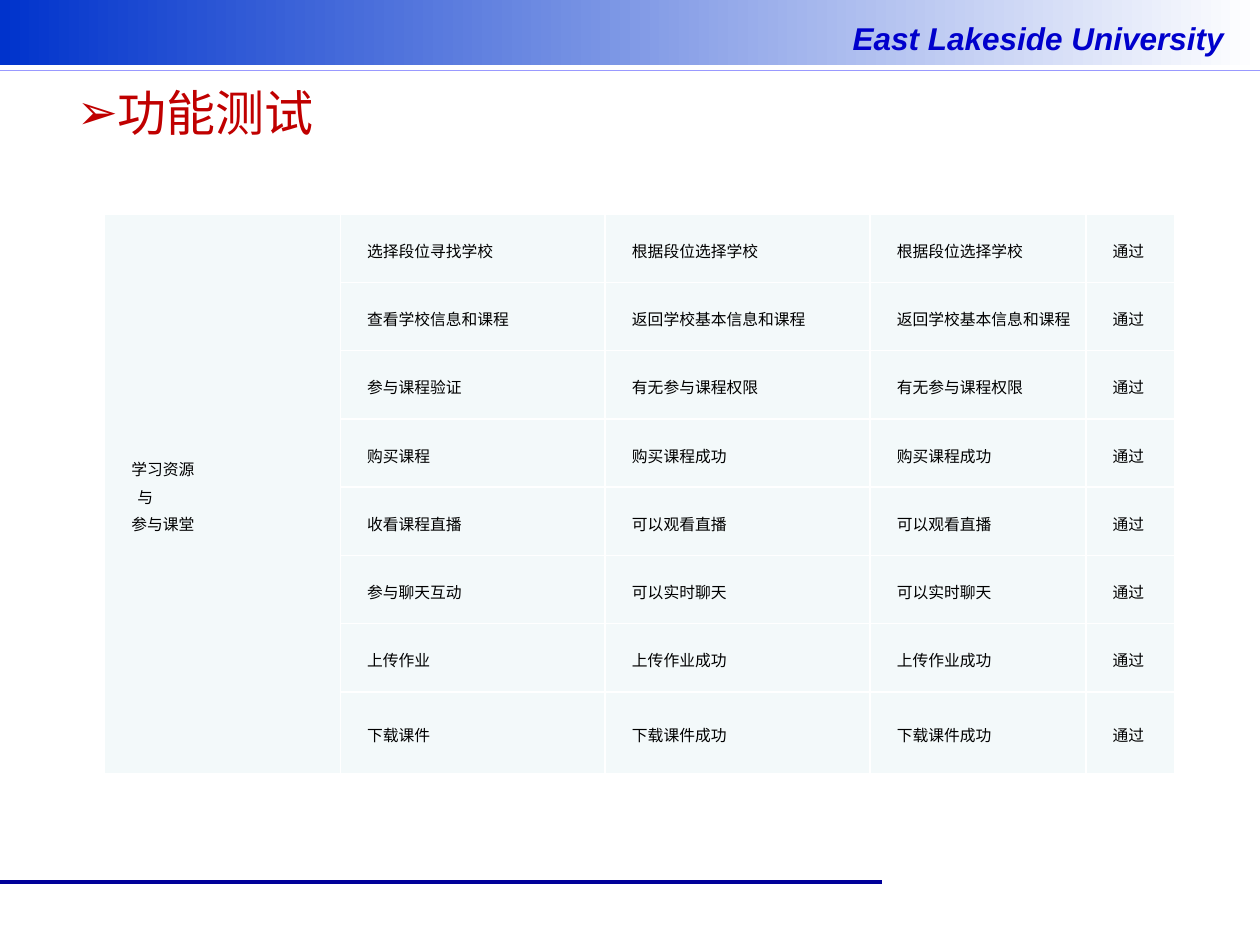
from dataclasses import dataclass

from lxml.etree import SubElement
from pptx import Presentation
from pptx.dml.color import RGBColor
from pptx.enum.shapes import MSO_CONNECTOR, MSO_SHAPE
from pptx.enum.text import MSO_ANCHOR, PP_ALIGN
from pptx.oxml.ns import qn
from pptx.util import Cm, Pt


@dataclass(frozen=True)
class Theme:
    band: str = "0033CC"
    white: str = "FFFFFF"
    school: str = "0000CC"
    header_rule: str = "9999FF"
    footer_rule: str = "000099"
    title: str = "C00000"
    body: str = "000000"
    cell: str = "F3F9FA"
    latin: str = "Arial"
    cjk: str = "Noto Sans CJK SC"
    school_size: float = 18
    title_size: float = 28
    body_size: float = 9


@dataclass(frozen=True)
class Rule:
    y: float
    length: float
    color: str
    width: float


@dataclass(frozen=True)
class TestCase:
    action: str
    expected: str
    actual: str
    verdict: str = "通过"


THEME = Theme()
RULES = [Rule(1.42, 25.4, THEME.header_rule, 1),
         Rule(17.78, 17.78, THEME.footer_rule, 2.25)]

# Each outcome was observed exactly as expected
CASES = [TestCase(action, outcome, outcome) for action, outcome in [
    ("选择段位寻找学校", "根据段位选择学校"),
    ("查看学校信息和课程", "返回学校基本信息和课程"),
    ("参与课程验证", "有无参与课程权限"),
    ("购买课程", "购买课程成功"),
    ("收看课程直播", "可以观看直播"),
    ("参与聊天互动", "可以实时聊天"),
    ("上传作业", "上传作业成功"),
    ("下载课件", "下载课件成功"),
]]
MODULE_LINES = ["学习资源", "与", "参与课堂"]
COLUMN_WIDTHS = [4.75, 5.34, 5.34, 4.35, 1.8]
ROW_HEIGHT, LAST_ROW_HEIGHT = 1.375, 1.65
INDENT, CENTRE_INDENT = 0.36, 0.48


def rgb(color: str) -> RGBColor:
    return RGBColor.from_string(color)


def write(paragraph, text: str, *, size: float, color: str, font: str = THEME.latin,
          bold: bool = False, italic: bool = False, align=PP_ALIGN.JUSTIFY,
          indent: float = 0, spacing: float = 1, bullet: str = "") -> None:
    run = paragraph.add_run()
    run.text = text
    run.font.size, run.font.name = Pt(size), font
    run.font.bold, run.font.italic = bold, italic
    run.font.color.rgb = rgb(color)
    SubElement(run.font._element, qn("a:ea"), typeface=THEME.cjk)
    paragraph.alignment, paragraph.line_spacing = align, spacing
    properties = paragraph._p.get_or_add_pPr()
    properties.set("marL", "0")
    properties.set("indent", str(Cm(indent)))
    if bullet:
        SubElement(properties, qn("a:buFont"), typeface=THEME.latin)
        SubElement(properties, qn("a:buChar"), char=bullet)


def add_text_frame(slide, left: float, top: float, width: float, height: float):
    frame = slide.shapes.add_textbox(Cm(left), Cm(top), Cm(width), Cm(height)).text_frame
    frame.word_wrap = True
    return frame


def draw_rule(slide, rule: Rule) -> None:
    line = slide.shapes.add_connector(MSO_CONNECTOR.STRAIGHT, 0, Cm(rule.y),
                                      Cm(rule.length), Cm(rule.y))
    line.line.color.rgb, line.line.width = rgb(rule.color), Pt(rule.width)
    SubElement(line._element.spPr, qn("a:effectLst"))


def draw_header(slide) -> None:
    band = slide.shapes.add_shape(MSO_SHAPE.RECTANGLE, 0, 0, Cm(25.4), Cm(1.32))
    band.shadow.inherit = False
    band.line.fill.background()
    band.fill.gradient()
    band.fill.gradient_angle = 0
    for stop, color in zip(band.fill.gradient_stops, (THEME.band, THEME.white)):
        stop.color.rgb = rgb(color)
    school = add_text_frame(slide, 16.94, 0.25, 8.26, 1.02)
    school.word_wrap = False
    school.margin_top = Cm(0.14)
    write(school.paragraphs[0], "East Lakeside University", size=THEME.school_size,
          color=THEME.school, bold=True, italic=True, align=PP_ALIGN.LEFT)


def draw_title(slide) -> None:
    title = add_text_frame(slide, 1.3, 1.4, 20.78, 1.73)
    title.vertical_anchor = MSO_ANCHOR.MIDDLE
    write(title.paragraphs[0], "功能测试", size=THEME.title_size, color=THEME.title,
          font=THEME.cjk, align=PP_ALIGN.LEFT, bullet="➢")


def style_cell(cell) -> None:
    cell.vertical_anchor = MSO_ANCHOR.MIDDLE
    cell.margin_left = cell.margin_right = Cm(0.18)
    cell.margin_top = cell.margin_bottom = 0
    properties = cell._tc.get_or_add_tcPr()
    for side in ("lnL", "lnR", "lnT", "lnB"):
        border = SubElement(properties, qn(f"a:{side}"), w=str(Pt(1)))
        SubElement(SubElement(border, qn("a:solidFill")), qn("a:srgbClr"), val=THEME.white)
    cell.fill.solid()
    cell.fill.fore_color.rgb = rgb(THEME.cell)


def write_cell(paragraph, text: str, indent: float = INDENT) -> None:
    write(paragraph, text, size=THEME.body_size, color=THEME.body,
          indent=indent, spacing=1.2)


def draw_results(slide) -> None:
    heights = [ROW_HEIGHT] * (len(CASES) - 1) + [LAST_ROW_HEIGHT]
    results = slide.shapes.add_table(
        len(CASES), len(COLUMN_WIDTHS), Cm(2.11), Cm(4.32),
        Cm(sum(COLUMN_WIDTHS)), Cm(sum(heights))).table
    results.first_row = results.horz_banding = False
    for column, width in zip(results.columns, COLUMN_WIDTHS):
        column.width = Cm(width)
    for row, height in zip(results.rows, heights):
        row.height = Cm(height)
    for cell in results.iter_cells():
        style_cell(cell)

    # Module name spans every test case
    module = results.cell(0, 0)
    module.merge(results.cell(len(CASES) - 1, 0))
    for number, text in enumerate(MODULE_LINES):
        frame = module.text_frame
        paragraph = frame.add_paragraph() if number else frame.paragraphs[0]
        write_cell(paragraph, text, CENTRE_INDENT if len(text) == 1 else INDENT)

    # Test cases
    for row, case in enumerate(CASES):
        entries = (case.action, case.expected, case.actual, case.verdict)
        for column, entry in enumerate(entries, start=1):
            write_cell(results.cell(row, column).text_frame.paragraphs[0], entry)


def main() -> None:
    deck = Presentation()
    deck.slide_width, deck.slide_height = Cm(25.4), Cm(19.05)
    slide = deck.slides.add_slide(deck.slide_layouts[6])
    draw_header(slide)
    for rule in RULES:
        draw_rule(slide, rule)
    draw_title(slide)
    draw_results(slide)
    deck.save("out.pptx")


if __name__ == "__main__":
    main()
